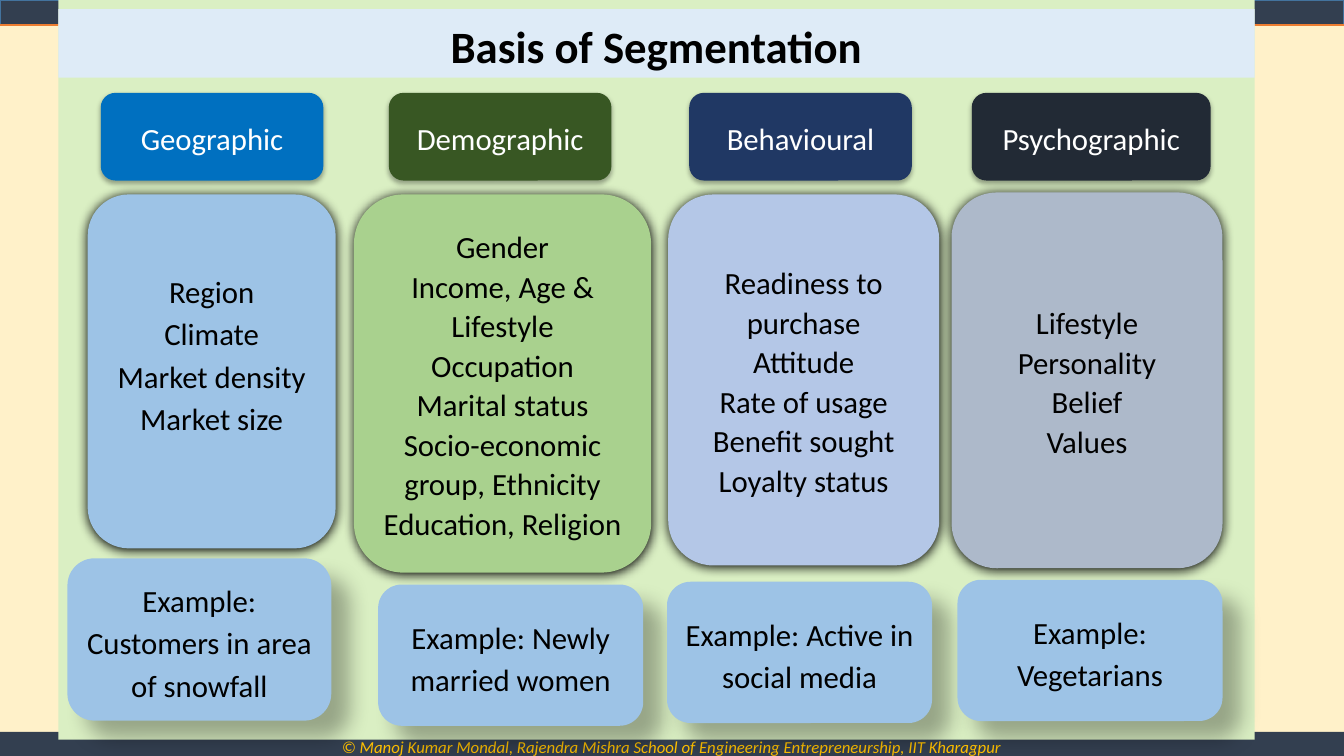
from dataclasses import dataclass

from lxml.etree import SubElement
from pptx import Presentation
from pptx.dml.color import RGBColor
from pptx.enum.shapes import MSO_CONNECTOR, MSO_SHAPE
from pptx.enum.text import MSO_ANCHOR, PP_ALIGN
from pptx.oxml.ns import qn
from pptx.util import Cm, Pt

COLORS = {
    "background": "FFF1C9", "bar": "333F50", "bar_edge": "43739E",
    "accent": "ED7D31", "gold": "FFC000", "panel": "DAEFC3",
    "title": "DEEBF7", "black": "000000", "white": "FFFFFF",
    "blue": "0070C0", "dark_green": "385723", "navy": "203864",
    "charcoal": "222A35", "sky": "9DC3E6", "green": "A9D18E",
    "periwinkle": "B4C7E7", "slate": "ADB9CA",
}


@dataclass
class Box:
    left: float
    top: float
    width: float
    height: float

    def inside(self, left, top, width, height):
        """Return a box whose corner is offset from this one."""
        return Box(self.left + left, self.top + top, width, height)

    def lengths(self):
        return [Cm(value) for value in (self.left, self.top, self.width, self.height)]


@dataclass
class Shadow:
    opacity: int
    blur: float
    distance: float
    angle: int


HEADING_SHADOW = Shadow(32, 3.5, 2.2, 90)
TRAITS_SHADOW = Shadow(100, 8.5, 1, 90)
EXAMPLE_SHADOW = Shadow(30, 15, 18, 45)


@dataclass
class Segment:
    heading: str
    heading_color: str
    heading_box: tuple
    traits: list
    traits_color: str
    traits_box: tuple
    example: str
    example_box: tuple
    bottom_margin: float = 0.13


# Boxes are left, top, width, height in cm from the panel's corner.
SEGMENTS = [
    Segment("Geographic", "blue", (1.07, 2.34, 5.61, 2.21),
            ["Region", "Climate", "Market density", "Market size"],
            "sky", (0.74, 4.9, 6.25, 8.92),
            "Example: Customers in area of snowfall", (0.23, 14.07, 6.65, 4.09),
            bottom_margin=1.1),
    Segment("Demographic", "dark_green", (8.33, 2.34, 5.61, 2.21),
            ["Gender", "Income, Age & Lifestyle", "Occupation", "Marital status",
             "Socio-economic group, Ethnicity", "Education, Religion"],
            "green", (7.45, 4.9, 7.49, 9.53),
            "Example: Newly married women", (8.06, 14.73, 6.68, 3.56)),
    Segment("Behavioural", "navy", (15.9, 2.34, 5.61, 2.21),
            ["Readiness to purchase", "Attitude", "Rate of usage",
             "Benefit sought", "Loyalty status"],
            "periwinkle", (15.37, 4.9, 6.83, 9.35),
            "Example: Active in social media", (15.34, 14.66, 6.68, 3.56)),
    Segment("Psychographic", "charcoal", (23.02, 2.34, 6.02, 2.21),
            ["Lifestyle", "Personality", "Belief", "Values"],
            "slate", (22.51, 4.85, 6.83, 9.47),
            "Example: Vegetarians", (22.66, 14.61, 6.68, 3.56)),
]


def color(name):
    return RGBColor.from_string(COLORS[name])


def add_effects(shape, shadow=None):
    """Replace the theme shadow with the given one, or with none."""
    effects = SubElement(shape._element.spPr, qn("a:effectLst"))
    if shadow:
        outer = SubElement(effects, qn("a:outerShdw"), {
            "blurRad": str(Pt(shadow.blur)), "dist": str(Pt(shadow.distance)),
            "dir": str(shadow.angle * 60000), "algn": "ctr", "rotWithShape": "0"})
        tint = SubElement(outer, qn("a:srgbClr"), val=COLORS["black"])
        SubElement(tint, qn("a:alpha"), val=str(shadow.opacity * 1000))


def add_block(slide, box, fill, kind=MSO_SHAPE.RECTANGLE, shadow=None):
    shape = slide.shapes.add_shape(kind, *box.lengths())
    shape.fill.solid()
    shape.fill.fore_color.rgb = color(fill)
    shape.line.fill.background()
    add_effects(shape, shadow)
    return shape


def write(shape, lines, size=22, text_color="black", spacing=1.07,
          bold=False, italic=False):
    frame = shape.text_frame
    frame.word_wrap = True
    frame.vertical_anchor = MSO_ANCHOR.MIDDLE
    for index, line in enumerate(lines):
        paragraph = frame.add_paragraph() if index else frame.paragraphs[0]
        paragraph.text = line
        paragraph.alignment = PP_ALIGN.CENTER
        paragraph.line_spacing = spacing
        font = paragraph.font
        font.name, font.size = "Calibri", Pt(size)
        font.bold, font.italic = bold, italic
        font.color.rgb = color(text_color)


def add_top_bar(slide, box):
    bar = add_block(slide, box, "bar")
    bar.line.color.rgb = color("bar_edge")
    bar.line.width = Pt(1)
    left, top, width, height = box.lengths()
    rule = slide.shapes.add_connector(
        MSO_CONNECTOR.STRAIGHT, left, top + height, left + width, top + height)
    rule.line.color.rgb = color("accent")
    rule.line.width = Pt(1.5)
    add_effects(rule)


def add_footer(slide, box):
    credit = ("© Manoj Kumar Mondal, Rajendra Mishra School of Engineering "
              "Entrepreneurship, IIT Kharagpur")
    write(add_block(slide, box, "bar"), [credit], size=12, text_color="gold",
          spacing=1.0, italic=True)


def add_segment(slide, panel, segment):
    """Place a heading, its traits and an example in the panel."""
    rounded = MSO_SHAPE.ROUNDED_RECTANGLE
    heading = add_block(slide, panel.inside(*segment.heading_box),
                        segment.heading_color, rounded, HEADING_SHADOW)
    write(heading, [segment.heading], text_color="white")

    traits = add_block(slide, panel.inside(*segment.traits_box),
                       segment.traits_color, rounded, TRAITS_SHADOW)
    traits.text_frame.margin_bottom = Cm(segment.bottom_margin)
    write(traits, segment.traits,
          spacing=1.15 if segment.heading == "Geographic" else 1.07)

    example = add_block(slide, panel.inside(*segment.example_box),
                        "sky", rounded, EXAMPLE_SHADOW)
    write(example, [segment.example], spacing=1.15)


def add_segmentation_panel(slide, box):
    add_block(slide, box, "panel")
    for segment in SEGMENTS:
        add_segment(slide, box, segment)
    title = add_block(slide, box.inside(0, 0.23, box.width, 1.73), "title")
    write(title, ["Basis of Segmentation"], size=32, bold=True)


def main():
    presentation = Presentation()
    page = Box(0, 0, 33.87, 19.05)
    presentation.slide_width = Cm(page.width)
    presentation.slide_height = Cm(page.height)
    slide = presentation.slides.add_slide(presentation.slide_layouts[6])
    slide.background.fill.solid()
    slide.background.fill.fore_color.rgb = color("background")

    add_top_bar(slide, page.inside(0, 0, page.width, 0.62))
    add_footer(slide, page.inside(0, 18.44, page.width, 0.76))
    add_segmentation_panel(slide, page.inside(1.47, 0, 30.15, 18.64))
    presentation.save("out.pptx")


if __name__ == "__main__":
    main()
